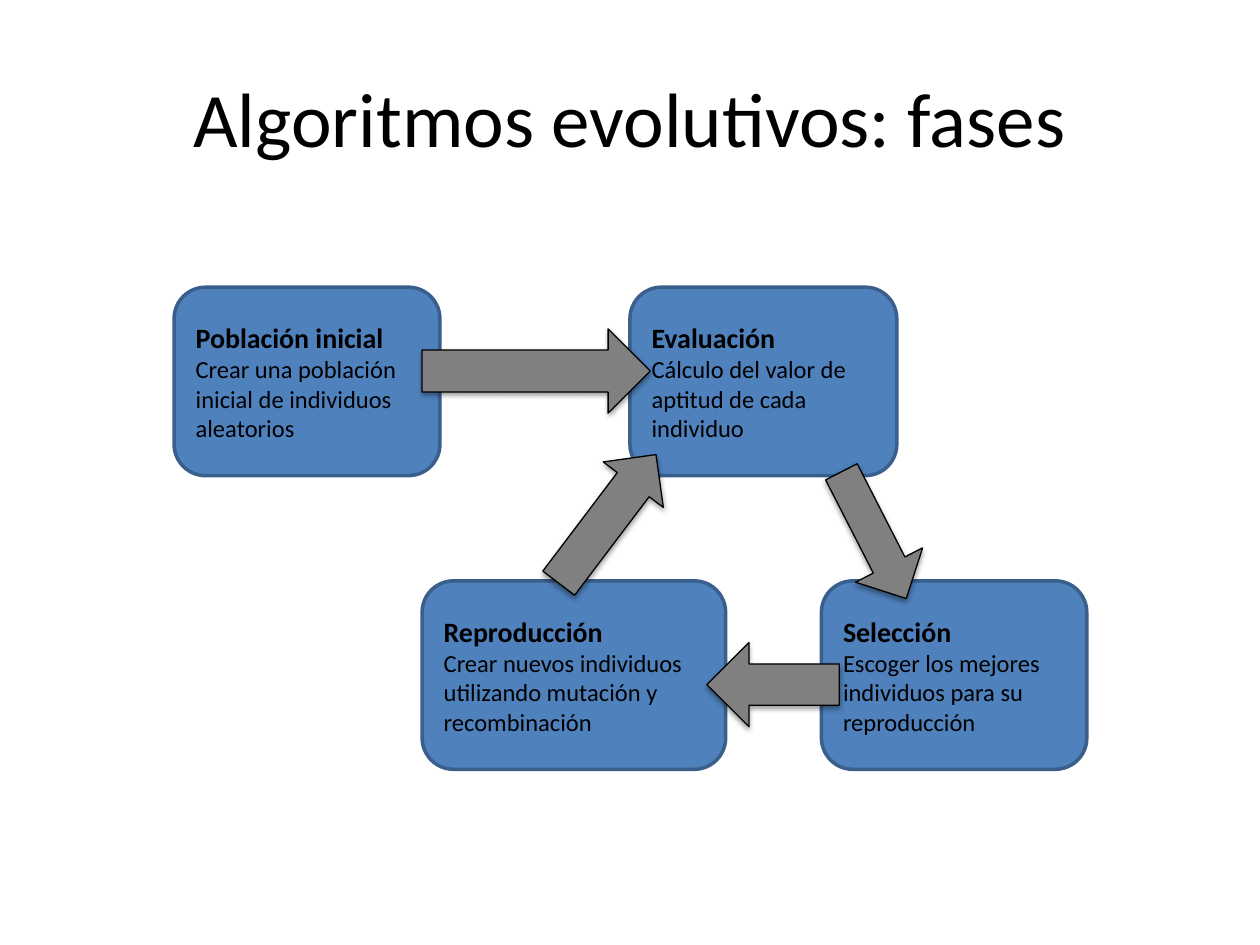
from lxml.etree import SubElement
from pptx import Presentation
from pptx.dml.color import RGBColor
from pptx.enum.shapes import MSO_SHAPE
from pptx.enum.text import MSO_ANCHOR, PP_ALIGN
from pptx.oxml.ns import qn
from pptx.util import Cm, Pt


def paint(color, code):
    color.rgb = RGBColor.from_string(code)


def write(para, text, size=14, bold=False, align=PP_ALIGN.LEFT, color="000000"):
    para.alignment = align
    run = para.add_run()
    run.text = text
    run.font.name = "Calibri"
    run.font.size = Pt(size)
    run.font.bold = bold
    paint(run.font.color, color)


deck = Presentation()
deck.slide_width, deck.slide_height = Cm(25.4), Cm(19.05)
slide = deck.slides.add_slide(deck.slide_layouts[6])
shapes = slide.shapes

# Title
title = shapes.add_textbox(Cm(1.27), Cm(0.76), Cm(22.86), Cm(3.18)).text_frame
title.word_wrap = True
title.vertical_anchor = MSO_ANCHOR.MIDDLE
write(title.paragraphs[0], "Algoritmos evolutivos: fases", size=44, align=PP_ALIGN.CENTER)

# Phases: left, top, width, name, detail
upper, lower = 5.79, 11.71
phases = [
    (3.51, upper, 5.36, "Población inicial",
     "Crear una población inicial de individuos aleatorios"),
    (12.7, upper, 5.38, "Evaluación",
     "Cálculo del valor de aptitud de cada individuo"),
    (8.51, lower, 6.12, "Reproducción",
     "Crear nuevos individuos utilizando mutación y recombinación"),
    (16.56, lower, 5.35, "Selección",
     "Escoger los mejores individuos para su reproducción"),
]
for left, top, width, name, detail in phases:
    box = shapes.add_shape(MSO_SHAPE.FLOWCHART_ALTERNATE_PROCESS,
                           Cm(left), Cm(top), Cm(width), Cm(3.8))
    box.shadow.inherit = False
    box.fill.solid()
    paint(box.fill.fore_color, "4F81BD")
    paint(box.line.color, "3A5F8C")
    box.line.width = Pt(2)
    frame = box.text_frame
    frame.word_wrap = True
    frame.vertical_anchor = MSO_ANCHOR.MIDDLE
    write(frame.paragraphs[0], name, size=16, bold=True)
    write(frame.add_paragraph(), detail)

# Arrows: left, top, width, height, turn, shaft
arrows = [
    (8.51, 6.63, 4.6, 1.7, 0, 0.5),
    (16.18, 10.03, 2.87, 1.52, 62.9, 0.47),
    (10.62, 9.7, 3.25, 1.52, 307.1, 0.53),
    (14.25, 12.95, 2.67, 1.7, 180, 0.49),
]
for left, top, width, height, turn, shaft in arrows:
    arrow = shapes.add_shape(MSO_SHAPE.RIGHT_ARROW,
                             Cm(left), Cm(top), Cm(width), Cm(height))
    arrow.rotation = turn
    arrow.adjustments[0] = shaft
    arrow.fill.solid()
    paint(arrow.fill.fore_color, "808080")
    paint(arrow.line.color, "000000")
    arrow.line.width = Pt(0.75)

    # Soft shadow straight below
    arrow.shadow.inherit = False
    effects = arrow._element.spPr.find(qn("a:effectLst"))
    shade = SubElement(effects, qn("a:outerShdw"), blurRad=str(Pt(3.1)),
                       dist=str(Pt(1.6)), dir="5400000", rotWithShape="0")
    black = SubElement(shade, qn("a:srgbClr"), val="000000")
    SubElement(black, qn("a:alpha"), val="38000")

deck.save("out.pptx")
